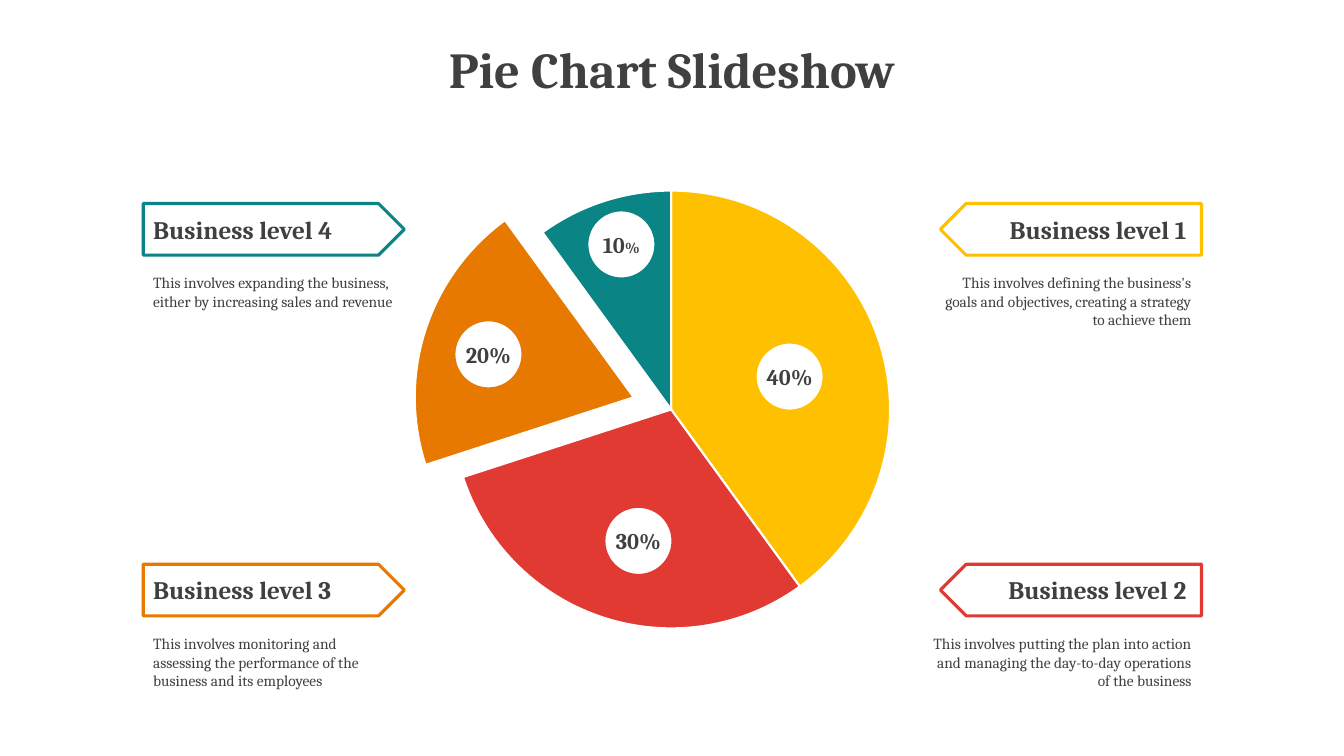
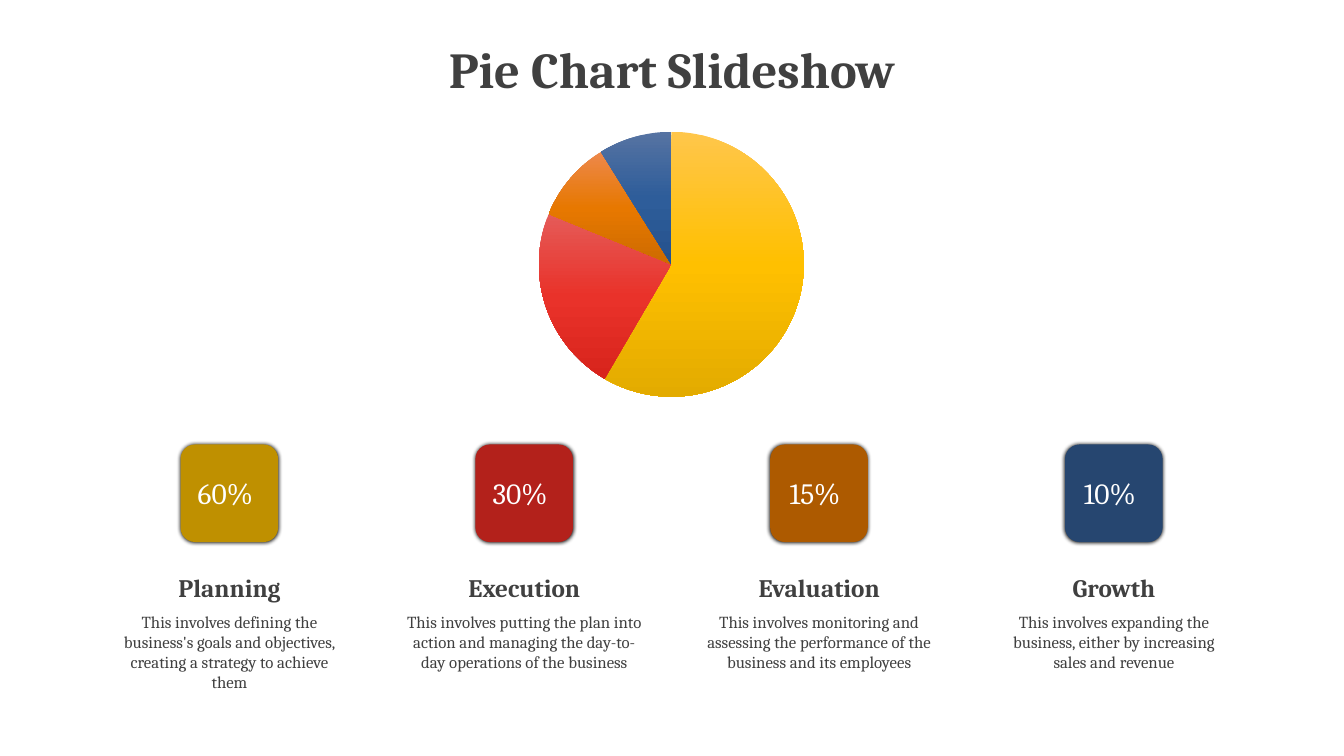
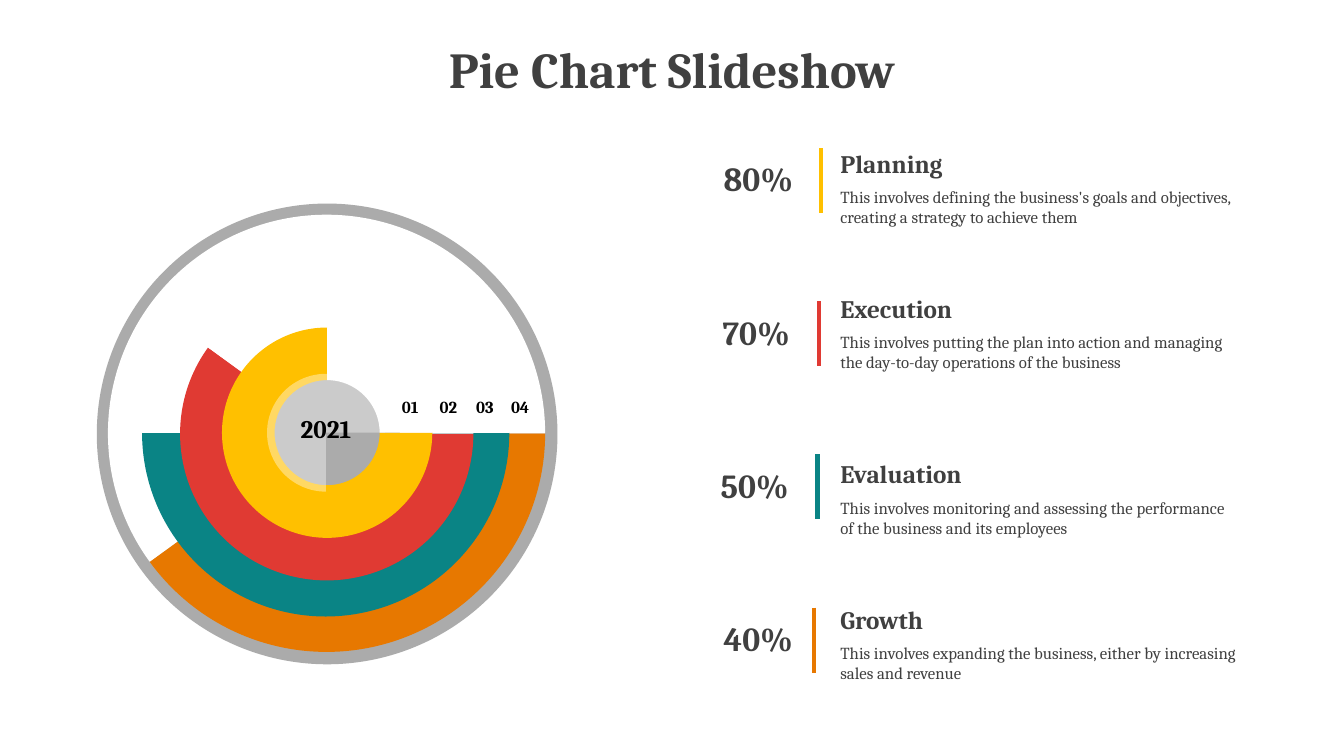
"""Build three pie chart slides: exploded pie, shaded pie and nested rings."""
from pptx import Presentation
from pptx.chart import data
from pptx.dml.color import RGBColor
from pptx.enum import chart as charts, shapes, text
from pptx.oxml import parse_xml
from pptx.oxml.ns import nsdecls, qn
from pptx.util import Cm, Pt

COLORS = {
    "ink": "404040", "black": "000000", "white": "FFFFFF",
    "yellow": "FFC000", "red": "E03A33", "orange": "E77800", "teal": "0A8485",
    "dark yellow": "BF9000", "dark red": "B3211B", "dark orange": "AD5A00", "dark blue": "264670",
}
FONT = "Cambria"
TITLE = "Pie Chart Slideshow"
WIDTH, HEIGHT = 33.87, 19.05
PLAN = "This involves defining the business's goals and objectives, creating a strategy to achieve them"
EXECUTE = "This involves putting the plan into action and managing the day-to-day operations of the business"
EVALUATE = "This involves monitoring and assessing the performance of the business and its employees"
GROW = "This involves expanding the business, either by increasing sales and revenue"

LEVEL_SHARES = [("yellow", 40), ("red", 30), ("orange", 20), ("teal", 10)]
BADGES = [
    (19.05, 8.64, "yellow", [("40%", 16, True)]),
    (11.46, 8.08, "orange", [("20%", 16, True)]),
    (15.24, 12.78, "red", [("30%", 16, True)]),
    (14.81, 5.31, "teal", [("10", 16, True), ("%", 11, True)]),
]
LEVELS = [
    ("Business level 1", PLAN, "yellow", "right", 5.13),
    ("Business level 2", EXECUTE, "red", "right", 14.22),
    ("Business level 3", EVALUATE, "orange", "left", 14.22),
    ("Business level 4", GROW, "teal", "left", 5.13),
]

PHASE_SHARES = [59, 23, 10, 9]
PHASE_SHADES = [
    ("FFC64B", "FFC000", "E3AB00"), ("E55B58", "E9322A", "D8241C"),
    ("ED884B", "E77800", "CD6B00"), ("5673A2", "2E5D9A", "25528D"),
]
PHASES = [
    ("Planning", PLAN, "60%", "dark yellow"),
    ("Execution", EXECUTE, "30%", "dark red"),
    ("Evaluation", EVALUATE, "15%", "dark orange"),
    ("Growth", GROW, "10%", "dark blue"),
]

RINGS = [
    ((2.72, 5.41, 11.02, 11.02), "orange", 40, 77, (0, 0, 1, 1)),
    ((3.58, 6.25, 9.35, 9.32), "teal", 50, 76, (0, 0, 0.99, 1)),
    ((4.45, 7.16, 7.57, 7.47), "red", 60, 70, (0.01, 0.01, 0.98, 0.99)),
    ((5.54, 8.2, 5.41, 5.41), "yellow", 75, 60, (0.01, 0.01, 0.98, 0.98)),
]
RING_LABELS = [("01", 9.83), ("02", 10.79), ("03", 11.71), ("04", 12.6)]
GOALS = [
    ("Planning", PLAN, "80%", "yellow", 18.24, 20.68, 3.61),
    ("Execution", EXECUTE, "70%", "red", 18.21, 20.65, 7.26),
    ("Evaluation", EVALUATE, "50%", "teal", 18.16, 20.6, 11.43),
    ("Growth", GROW, "40%", "orange", 18.24, 20.52, 15.09),
]


def rgb(name):
    return RGBColor.from_string(COLORS[name])


def cm(*lengths):
    return [Cm(length) for length in lengths]


def write(frame, *paragraphs, color="ink", align="left", anchor="top", after=0,
          insets=(0.25, 0.13, 0.25, 0.13), wrap=True):
    """Fill a text frame with paragraphs, each a list of (text, size, bold) runs."""
    frame.word_wrap = wrap
    frame.vertical_anchor = getattr(text.MSO_ANCHOR, anchor.upper())
    frame.margin_left, frame.margin_top, frame.margin_right, frame.margin_bottom = cm(*insets)
    for i, runs in enumerate(paragraphs):
        paragraph = frame.add_paragraph() if i else frame.paragraphs[0]
        paragraph.alignment = getattr(text.PP_ALIGN, align.upper())
        if i < len(paragraphs) - 1:
            paragraph.space_after = Pt(after)
        for words, size, bold in runs:
            run = paragraph.add_run()
            run.text = words
            run.font.name, run.font.size, run.font.bold = FONT, Pt(size), bold
            run.font.color.rgb = rgb(color)


def add_text(slide, box, *paragraphs, **style):
    write(slide.shapes.add_textbox(*cm(*box)).text_frame, *paragraphs, **style)


def add_shape(slide, kind, box, fill, line=None, weight=1.0, alpha=None):
    shape = slide.shapes.add_shape(kind, *cm(*box))
    shape.shadow.inherit = False
    shape.fill.solid()
    shape.fill.fore_color.rgb = rgb(fill)
    if line:
        shape.line.color.rgb = rgb(line)
        shape.line.width = Pt(weight)
    else:
        shape.line.fill.background()
    if alpha:
        tint = next(shape.element.spPr.iter(qn("a:srgbClr")))
        tint.append(parse_xml(f'<a:alpha {nsdecls("a")} val="{alpha * 1000}"/>'))
    return shape


def add_round_chart(slide, kind, box, values, plot_box):
    """Add a pie or doughnut whose plot fills the given fractions of its frame."""
    table = data.CategoryChartData()
    table.categories = [str(i + 1) for i in range(len(values))]
    table.add_series("Series 1", values)
    chart = slide.shapes.add_chart(kind, *cm(*box), table).chart
    chart.has_title = chart.has_legend = False
    chart.font.name, chart.font.size = "Calibri", Pt(10)
    chart.font.color.rgb = rgb("black")
    chart.plots[0].vary_by_categories = True
    area = next(chart.element.iter(qn("c:plotArea")))
    for layout in area.findall(qn("c:layout")):
        area.remove(layout)
    sizes = "".join(f'<c:{tag} val="{value}"/>' for tag, value in zip("xywh", plot_box))
    area.insert(0, parse_xml(
        f'<c:layout {nsdecls("c")}><c:manualLayout><c:layoutTarget val="inner"/>'
        f'<c:xMode val="edge"/><c:yMode val="edge"/>{sizes}</c:manualLayout></c:layout>'))
    return chart


def color_slices(chart, names, border=None):
    for i, name in enumerate(names):
        look = chart.plots[0].series[0].points[i].format
        look.fill.solid()
        look.fill.fore_color.rgb = rgb(name)
        if border:
            look.line.color.rgb = rgb(border)
            look.line.width = Pt(1.5)
        else:
            look.line.fill.background()


def shade_slices(chart, shades):
    for i in range(len(shades)):
        look = chart.plots[0].series[0].points[i].format
        look.fill.gradient()
        look.fill.gradient_angle = 270
        look.line.fill.background()
    for stops, tones in zip(list(chart.element.iter(qn("a:gsLst"))), shades):
        stops[:] = [parse_xml(f'<a:gs {nsdecls("a")} pos="{i * 50000}"><a:srgbClr val="{tone}"/></a:gs>')
                    for i, tone in enumerate(tones)]


def explode(chart, index, percent):
    point = list(chart.element.iter(qn("c:dPt")))[index]
    point.find(qn("c:spPr")).addprevious(
        parse_xml(f'<c:explosion {nsdecls("c")} val="{percent}"/>'))


def new_slide(deck):
    slide = deck.slides.add_slide(deck.slide_layouts[6])
    add_text(slide, (0, 0.84, WIDTH, 1.8), [(TITLE, 36, True)], align="center")
    return slide


def build_levels(slide):
    chart = add_round_chart(slide, charts.XL_CHART_TYPE.PIE, (7.72, 4.39, 18.39, 11.86),
                            [share for _, share in LEVEL_SHARES], (0.2, 0.03, 0.6, 0.94))
    color_slices(chart, [name for name, _ in LEVEL_SHARES], border="white")
    explode(chart, 2, 18)
    for x, y, color, percent in BADGES:
        badge = add_shape(slide, shapes.MSO_SHAPE.OVAL, (x, y, 1.7, 1.7), "white", color)
        write(badge.text_frame, percent, align="center", anchor="middle", insets=(0, 0, 0, 0), wrap=False)
    left, right, tag_width, head_width = 3.61, 30.28, 6.58, 5.8
    for name, about, color, side, y in LEVELS:
        flipped = side == "right"
        about_width = 7.04 if flipped else tag_width
        tag_x, head_x, about_x = (
            (right - tag_width, right - 0.13 - head_width, right - about_width) if flipped else (left,) * 3)
        tag = add_shape(slide, shapes.MSO_SHAPE.PENTAGON, (tag_x, y, tag_width, 1.3), "white", color, 2.25)
        if flipped:
            tag.element.spPr.xfrm.set("flipH", "1")
        add_text(slide, (head_x, y + 0.13, head_width, 1.02), [(name, 18, True)], align=side, anchor="middle")
        add_text(slide, (about_x, y + 1.63, about_width, 1.68), [(about, 11, False)], align=side)


def build_phases(slide):
    pitch = 7.43
    for i, (name, about, percent, color) in enumerate(PHASES):
        tile = add_shape(slide, shapes.MSO_SHAPE.ROUNDED_RECTANGLE, (4.55 + i * pitch, 11.2, 2.46, 2.46), color)
        tile.adjustments[0] = 0.15
        tile.element.spPr.find(qn("a:effectLst")).append(parse_xml(
            f'<a:outerShdw {nsdecls("a")} blurRad="{Pt(3)}" dist="0" dir="0" algn="ctr" rotWithShape="0">'
            f'<a:srgbClr val="{COLORS["black"]}"><a:alpha val="96000"/></a:srgbClr></a:outerShdw>'))
        write(tile.text_frame, [(percent, 21, False)], color="white", align="center", anchor="middle",
              insets=(0, 0, 0.2, 0), wrap=False)
        add_text(slide, (2.57 + i * pitch, 14.3, 6.43, 3.3), [(name, 18, True)], [(about, 12, False)],
                 align="center", after=6)
    chart = add_round_chart(slide, charts.XL_CHART_TYPE.PIE, (11.99, 2.95, 9.86, 7.42),
                            PHASE_SHARES, (0.16, 0.05, 0.68, 0.9))
    shade_slices(chart, PHASE_SHADES)


def build_goals(slide):
    add_shape(slide, shapes.MSO_SHAPE.OVAL, (2.44, 5.13, 11.61, 11.61), "ink", alpha=44)
    for box, color, share, hole, plot_box in RINGS:
        ring = add_round_chart(slide, charts.XL_CHART_TYPE.DOUGHNUT, box, [share, 100 - share], plot_box)
        color_slices(ring, [color, "white"])
        for tag, value in (("c:firstSliceAng", 90), ("c:holeSize", hole)):
            next(ring.element.iter(qn(tag))).set("val", str(value))
    gloss = add_shape(slide, shapes.MSO_SHAPE.PIE, (6.73, 9.42, 2.97, 2.97), "white", alpha=39)
    gloss.adjustments[0], gloss.adjustments[1] = 54, 0
    for label, x in RING_LABELS:
        add_text(slide, (x, 9.86, 1.02, 0.76), [(label, 12, True)], color="black", align="center", wrap=False)
    add_text(slide, (7.29, 10.29, 1.85, 1.02), [("2021", 18, True)], color="black", align="center", wrap=False)
    for i, (name, about, percent, color, percent_x, bar_x, about_y) in enumerate(GOALS):
        top = 3.73 + i * 3.86
        add_text(slide, (percent_x, top + 0.26, 2, 1.02), [(percent, 24, True)], insets=(0, 0, 0, 0))
        bar = slide.shapes.add_connector(shapes.MSO_CONNECTOR.STRAIGHT, *cm(bar_x, top, bar_x, top + 1.64))
        bar.line.color.rgb, bar.line.width = rgb(color), Pt(3)
        bar.element.spPr.append(parse_xml(f'<a:effectLst {nsdecls("a")}/>'))
        add_text(slide, (20.93, about_y, 10.49, 2.26), [(name, 18, True)], [(about, 12, False)], after=6)


def main():
    deck = Presentation()
    deck.slide_width, deck.slide_height = cm(WIDTH, HEIGHT)
    for build in (build_levels, build_phases, build_goals):
        build(new_slide(deck))
    deck.save("out.pptx")


if __name__ == "__main__":
    main()
